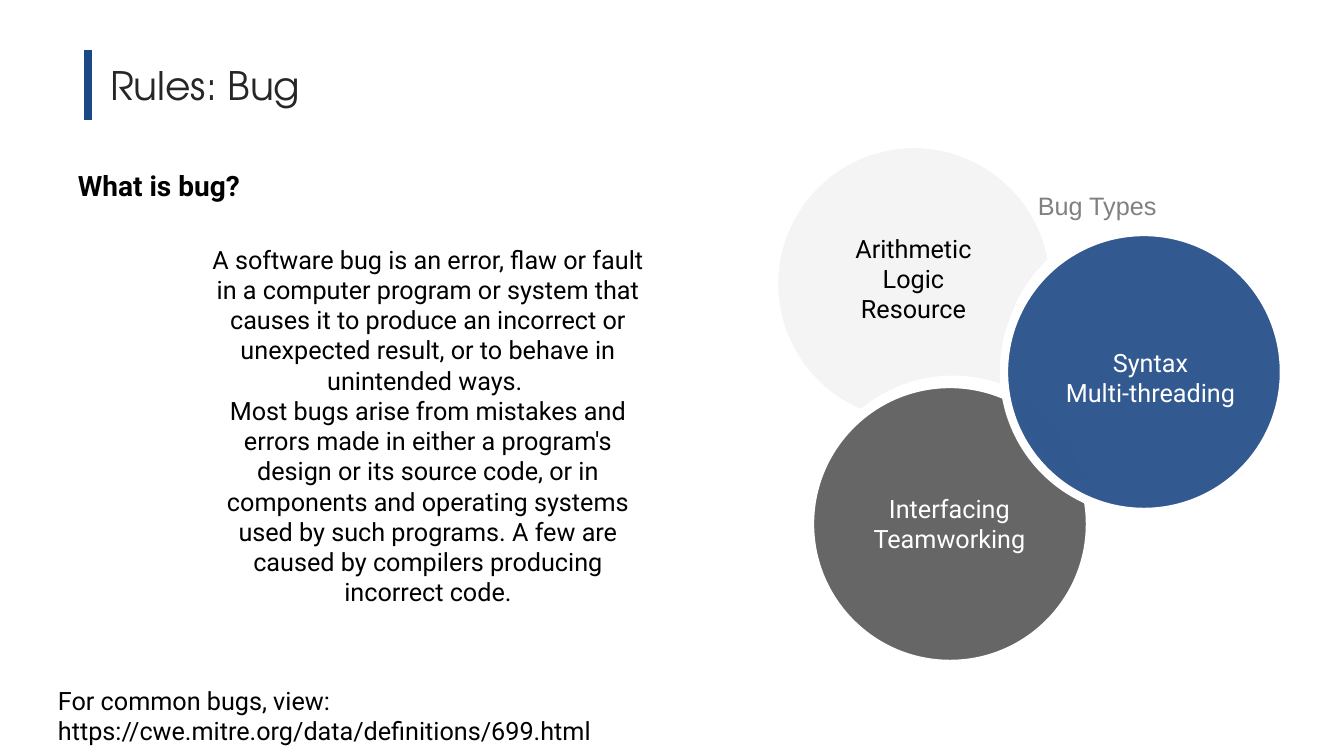
import math

from lxml import etree
from pptx import Presentation
from pptx import util as u
from pptx.dml.color import RGBColor
from pptx.enum import shapes, text
from pptx.oxml.ns import qn

SCALE = 914400 / 100.8
RADIUS = 140
BLUE, BLACK, WHITE = "1C4885", "000000", "FFFFFF"


def px(n):
    """Turn pixels into EMU."""
    return u.Emu(round(n * SCALE))


def color(value):
    """Turn a hex string into a colour."""
    return RGBColor.from_string(value)


def write(tf, lines, size=18, font="Roboto", fill=BLACK, bold=False,
          align=text.PP_ALIGN.LEFT, wrap=True):
    """Write one formatted paragraph per line into a text frame."""
    tf.word_wrap = wrap
    tf.auto_size = text.MSO_AUTO_SIZE.SHAPE_TO_FIT_TEXT
    tf.vertical_anchor = text.MSO_ANCHOR.TOP
    for i, line in enumerate(lines):
        p = tf.paragraphs[0] if i == 0 else tf.add_paragraph()
        p.alignment = align
        r = p.add_run()
        r.text = line
        r.font.size, r.font.name, r.font.bold = u.Pt(size), font, bold
        r.font.color.rgb = color(fill)


def textbox(s, box, lines, **fmt):
    """Add a text box at a pixel box."""
    tb = s.shapes.add_textbox(*map(px, box))
    write(tb.text_frame, lines, **fmt)


def heading(s, x, y, w, h):
    """Place the title and the vertical bar on its left."""
    title = s.shapes.title
    title.left, title.top, title.width, title.height = map(px, (x + 12, y + 6, w - 12, h - 12))
    write(title.text_frame, ["Rules: Bug"], size=28, font="TeX Gyre Adventor", fill="262626")
    bar = s.shapes.add_connector(shapes.MSO_CONNECTOR.STRAIGHT, px(x), px(y), px(x), px(y + h))
    bar.line.color.rgb = color(BLUE)
    bar.line.width = u.Pt(6)
    etree.SubElement(bar._element.spPr, qn("a:effectLst"))


def definition(s, x, y, w, h):
    """Place the question, its answer and the reference below."""
    textbox(s, (x + 20, y, 348, 44), ["What is bug?"], size=20, bold=True)
    textbox(s, (x + 147, y + 75, w - 147, 316), [
        "A software bug is an error, flaw or fault in a computer program or system that "
        "causes it to produce an incorrect or unexpected result, or to behave in unintended ways. ",
        "Most bugs arise from mistakes and errors made in either a program's design or its "
        "source code, or in components and operating systems used by such programs. A few are "
        "caused by compilers producing incorrect code.",
    ], align=text.PP_ALIGN.CENTER)
    textbox(s, (x, y + h - 40, 757, 40),
            ["For common bugs, view: https://cwe.mitre.org/data/definitions/699.html"])


def meet(a, b):
    """Give the crossing of two equal circles that lies left of the way from a to b."""
    dx, dy = b[0] - a[0], b[1] - a[1]
    d = math.hypot(dx, dy)
    k = math.sqrt(RADIUS ** 2 - d ** 2 / 4) / d
    return (a[0] + b[0]) / 2 + dy * k, (a[1] + b[1]) / 2 - dx * k


def arc_points(start, end, center):
    """Give the two control points and the end of an arc around a centre."""
    (ax, ay), (bx, by) = [(p[0] - center[0], p[1] - center[1]) for p in (start, end)]
    k = 4 / 3 * math.tan(math.atan2(ax * by - ay * bx, ax * bx + ay * by) / 4)
    return [(start[0] - k * ay, start[1] + k * ax), (end[0] + k * by, end[1] - k * bx), end]


def cut_disc(s, start, arcs):
    """Build a closed outline from arcs, each given as its end and its centre."""
    builder = s.shapes.build_freeform(px(start[0]), px(start[1]))
    builder.add_line_segments([(px(ex), px(ey)) for (ex, ey), _ in arcs], close=True)
    sp = builder.convert_to_shape()
    for segment, (end, center) in zip(list(sp._element.iter(qn("a:lnTo"))), arcs):
        curve = etree.Element(qn("a:cubicBezTo"))
        for cx, cy in arc_points(start, end, center):
            etree.SubElement(curve, qn("a:pt"), x=str(px(cx) - sp.left), y=str(px(cy) - sp.top))
        segment.getparent().replace(segment, curve)
        start = end
    return sp


def paint(sp, fill, alpha):
    """Give a disc its translucent fill and white edge."""
    sp.shadow.inherit = False
    sp.fill.solid()
    sp.fill.fore_color.rgb = color(fill)
    clr = sp._element.spPr.find(qn("a:solidFill")).find(qn("a:srgbClr"))
    etree.SubElement(clr, qn("a:alpha"), val=str(alpha * 1000))
    sp.line.color.rgb = color(WHITE)
    sp.line.width = u.Pt(6)


def bug_types(s, x, y):
    """Place the three overlapping discs with their labels and caption."""
    light, gray = (x + 140, y + 140), (x + 176, y + 380)
    blue_cut, gray_cut = (x + 373, y + 220), (x + 179, y + 376)
    light_top, gray_top = (light[0], y), (gray[0], gray[1] - RADIUS)
    paint(cut_disc(s, light_top, [
        (meet(light, blue_cut), light),
        (meet(blue_cut, gray_cut), blue_cut),
        (meet(gray_cut, light), gray_cut),
        ((x, light[1]), light),
        (light_top, light),
    ]), "F2F2F2", 80)
    paint(cut_disc(s, gray_top, [
        (meet(gray, blue_cut), gray),
        (meet(blue_cut, gray), blue_cut),
        ((gray[0] + RADIUS, gray[1]), gray),
        ((gray[0], gray[1] + RADIUS), gray),
        ((gray[0] - RADIUS, gray[1]), gray),
        (gray_top, gray),
    ]), "404040", 80)
    paint(s.shapes.add_shape(shapes.MSO_SHAPE.OVAL, px(x + 230), px(y + 88),
                             px(2 * RADIUS), px(2 * RADIUS)), BLUE, 90)
    labels = [
        (41, 84, 102, BLACK, ["Arithmetic", "Logic", "Resource"]),
        (77, 344, 72, WHITE, ["Interfacing", "Teamworking"]),
        (278, 198, 72, WHITE, ["Syntax", "Multi-threading"]),
    ]
    for dx, dy, h, fill, lines in labels:
        textbox(s, (x + dx, y + dy, 197, h), lines, fill=fill, align=text.PP_ALIGN.CENTER)
    textbox(s, (x + 254, y + 41, 140, 40), ["Bug Types"], font="Arial", fill="808080", wrap=False)


def main():
    """Build the slide and save it."""
    prs = Presentation()
    prs.slide_width, prs.slide_height = px(1344), px(756)
    s = prs.slides.add_slide(prs.slide_layouts[5])
    heading(s, 88, 50, 428, 70)
    definition(s, 48, 164, 613, 556)
    bug_types(s, 774, 144)
    prs.save("out.pptx")


if __name__ == "__main__":
    main()
